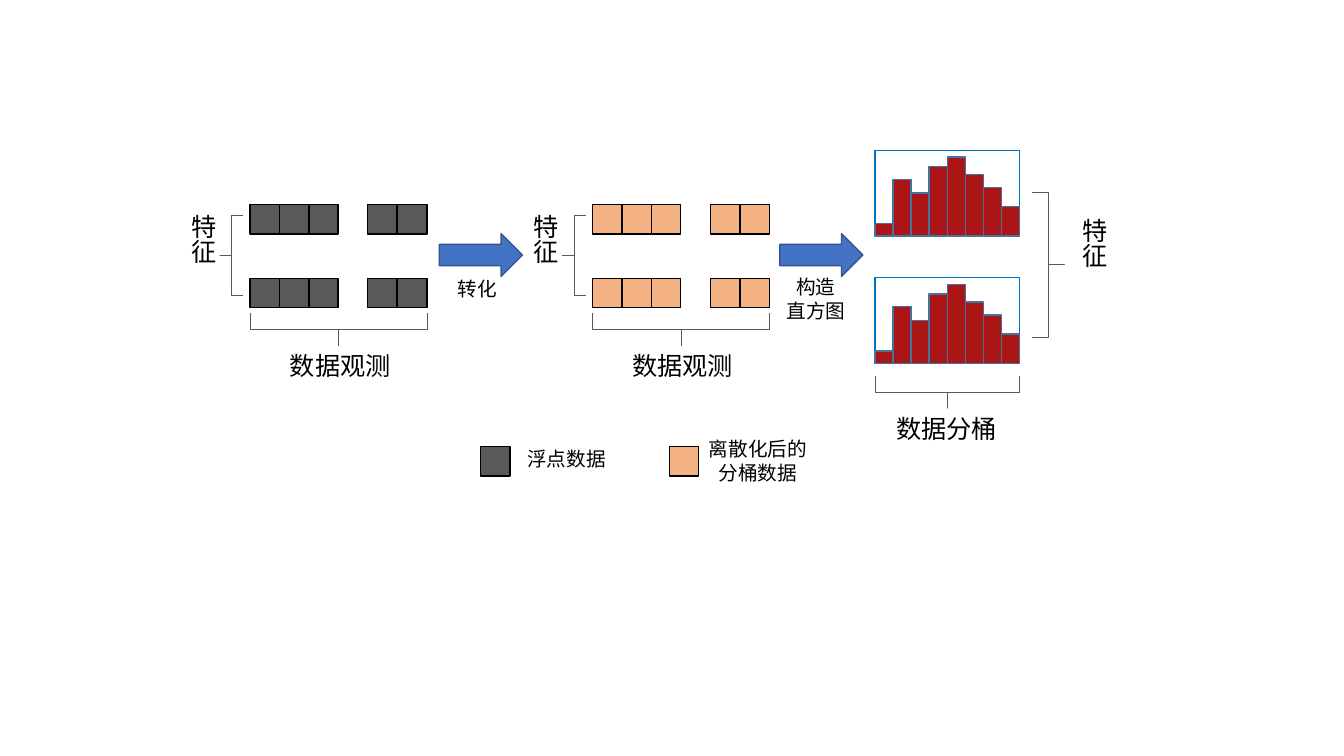
from pptx import Presentation
from pptx.dml.color import RGBColor
from pptx.enum.shapes import MSO_SHAPE
from pptx.enum.text import MSO_AUTO_SIZE, PP_ALIGN
from pptx.oxml.ns import qn
from pptx.util import Pt
from lxml import etree

RECTANGLE = MSO_SHAPE.RECTANGLE
LEFT_BRACE = MSO_SHAPE.LEFT_BRACE
RIGHT_ARROW = MSO_SHAPE.RIGHT_ARROW
CENTER = PP_ALIGN.CENTER
GROW = MSO_AUTO_SIZE.SHAPE_TO_FIT_TEXT

FONT = "Noto Sans CJK SC"
BLACK, GRAY, ORANGE = "000000", "595959", "F4B183"
BLUE, DARK_BLUE = "4472C4", "325491"
FRAME_BLUE, BAR_RED, BAR_EDGE = "0070C0", "AB1515", "43739E"

CELL = 21
CELL_OFFSETS = (0, 21, 42, 84.1, 105.3)
ROW_TOPS = (146.2, 198.8)
BAR_HEIGHTS = (8.8, 40.5, 30.8, 49.5, 56.4, 43.9, 34.5, 20.9)


def color(value):
    return RGBColor.from_string(value)


class Diagram:
    def __init__(self, page):
        self.page = page

    def shape(self, kind, left, top, width, height, fill, line, weight=1):
        shape = self.page.shapes.add_shape(
            kind, Pt(left), Pt(top), Pt(width), Pt(height))
        shape.shadow.inherit = False
        if fill:
            shape.fill.solid()
            shape.fill.fore_color.rgb = color(fill)
        else:
            shape.fill.background()
        shape.line.color.rgb = color(line)
        shape.line.width = Pt(weight)
        return shape

    def cell(self, left, top, fill):
        self.shape(RECTANGLE, left, top, CELL, CELL, fill, BLACK)

    def arrow(self, left):
        self.shape(RIGHT_ARROW, left, 166.9, 59.3, 30.6, BLUE, DARK_BLUE)

    def brace(self, left, top, width, height, rotation=0):
        """Place a bracket by the area it covers after rotation."""
        if rotation == 270:
            left += (width - height) / 2
            top += (height - width) / 2
            width, height = height, width
        brace = self.shape(LEFT_BRACE, left, top, width, height, None, GRAY, 0.5)
        brace.adjustments[0] = 0
        brace.adjustments[1] = 0.5
        brace.rotation = rotation

    def label(self, lines, left, top, width, height, size=18, vertical=False):
        box = self.page.shapes.add_textbox(
            Pt(left), Pt(top), Pt(width), Pt(height))
        frame = box.text_frame
        frame.word_wrap = True
        frame.auto_size = GROW
        if vertical:
            frame._txBody.bodyPr.set("vert", "eaVert")
        frame.text = "\n".join(lines)
        for para in frame.paragraphs:
            para.alignment = CENTER
            para.font.size = Pt(size)
            para.font.name = FONT
            para.font.color.rgb = color(BLACK)
            properties = para._p.pPr.find(qn("a:defRPr"))
            etree.SubElement(properties, qn("a:ea")).set("typeface", FONT)

    def observations(self, left, fill):
        for top in ROW_TOPS:
            for offset in CELL_OFFSETS:
                self.cell(left + offset, top, fill)
        self.brace(left - 21.5, 154.1, 16.6, 56.9)
        self.label(["特征"], left - 55.4, 146.2, 36, 79.2, vertical=True)
        self.brace(left, 223.9, 126.7, 23, 270)
        self.label(["数据观测"], left + 20.5, 247, 87.8, 28.8)

    def histogram(self, left, top, width, height):
        self.shape(RECTANGLE, left, top, width, height, "FFFFFF", FRAME_BLUE)
        step = width / len(BAR_HEIGHTS)
        for index, bar in enumerate(BAR_HEIGHTS):
            self.shape(RECTANGLE, left + index * step, top + height - bar,
                       step, bar, BAR_RED, BAR_EDGE)


def main():
    deck = Presentation()
    deck.slide_width, deck.slide_height = Pt(960), Pt(540)
    diagram = Diagram(deck.slides.add_slide(deck.slide_layouts[6]))

    # Floating point data and its conversion
    diagram.observations(178.6, GRAY)
    diagram.arrow(313.9)
    diagram.label(["转化"], 301.7, 194.4, 78.5, 24.5, size=14)

    # Binned data and the histogram step
    diagram.observations(423.2, ORANGE)
    diagram.arrow(557.1)
    diagram.label(["构造", "直方图"], 543.6, 193, 78.5, 41, size=14)

    # Histograms
    for top in (107.3, 198.3):
        diagram.histogram(625, top, 103.3, 61.3)
    diagram.brace(625, 268.6, 103.3, 23, 270)
    diagram.label(["数据分桶"], 630, 291.6, 92.2, 28.8)
    diagram.brace(737.3, 137.5, 23, 103.3, 180)
    diagram.label(["特征"], 759.6, 149, 36, 80.6, vertical=True)

    # Legend
    diagram.cell(343.4, 319, GRAY)
    diagram.label(["浮点数据"], 357.1, 315.4, 95, 24.5, size=14)
    diagram.cell(478.1, 319, ORANGE)
    diagram.label(["离散化后的分桶数据"], 497.5, 308.9, 87.8, 41, size=14)

    deck.save("out.pptx")


if __name__ == "__main__":
    main()
